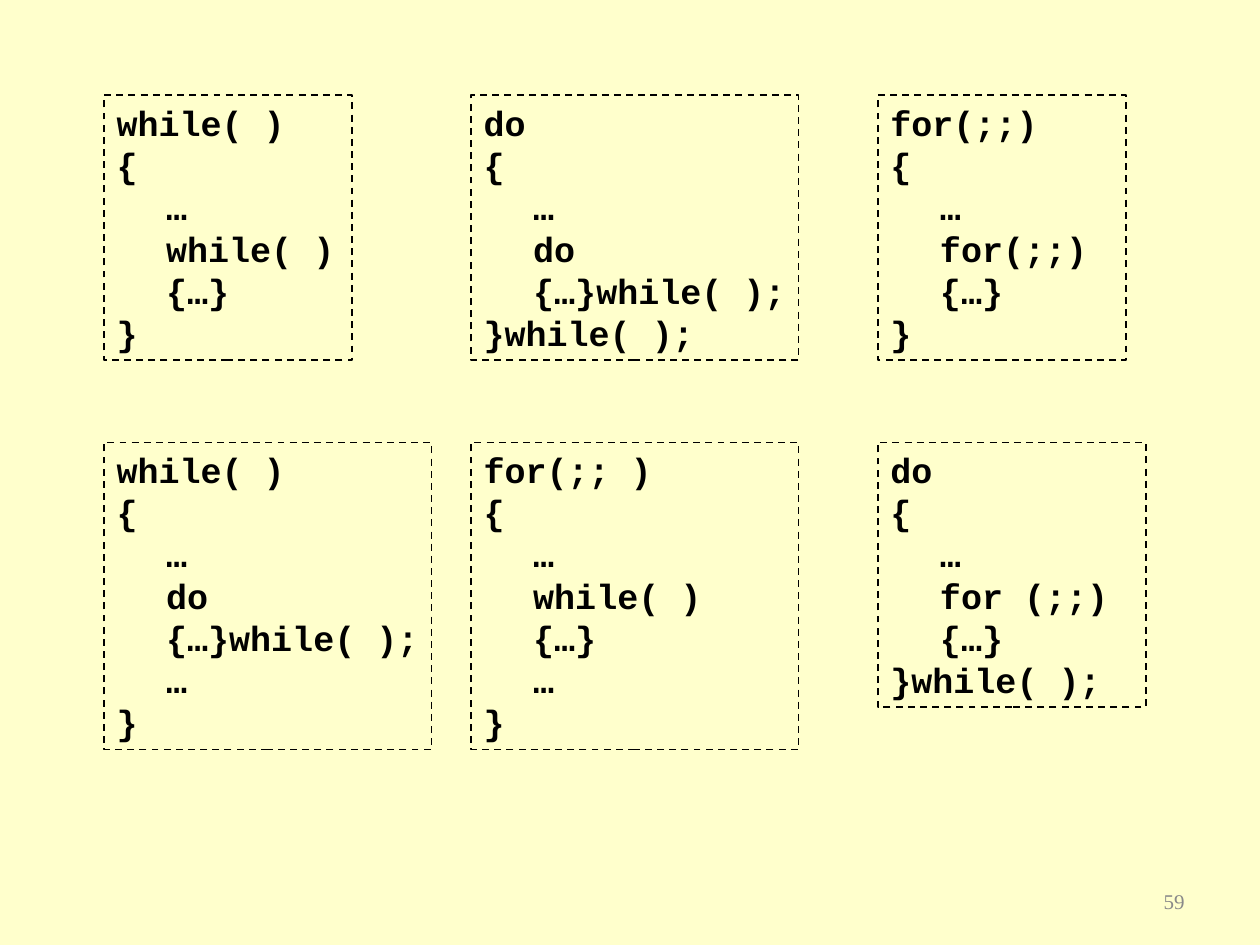
from lxml import etree
from pptx import Presentation
from pptx.dml.color import RGBColor
from pptx.enum.dml import MSO_LINE
from pptx.enum.shapes import MSO_SHAPE
from pptx.enum.text import MSO_ANCHOR, MSO_AUTO_SIZE, PP_ALIGN
from pptx.oxml.ns import qn
from pptx.util import Cm, Pt

RECT, DASH = MSO_SHAPE.RECTANGLE, MSO_LINE.DASH
LEFT, RIGHT = PP_ALIGN.LEFT, PP_ALIGN.RIGHT
TOP, MIDDLE = MSO_ANCHOR.TOP, MSO_ANCHOR.MIDDLE
GROW = MSO_AUTO_SIZE.SHAPE_TO_FIT_TEXT

# Content: rows of nested loops, each with its box width in cm
LOOPS = [
    [
        (5.0, ["while( )", "{", "\t…", "\twhile( )", "\t{…}", "}"]),
        (6.6, ["do", "{", "\t…", "\tdo", "\t{…}while( );", "}while( );"]),
        (5.0, ["for(;;)", "{", "\t…", "\tfor(;;)", "\t{…}", "}"]),
    ],
    [
        (6.6, ["while( )", "{", "\t…", "\tdo", "\t{…}while( );", "\t…", "}"]),
        (6.6, ["for(;; )", "{", "\t…", "\twhile( )", "\t{…}", "\t…", "}"]),
        (5.4, ["do", "{", "\t…", "\tfor (;;)", "\t{…}", "}while( );"]),
    ],
]
PAGE_NUMBER = "59"

THEME = {
    "background": RGBColor(0xFF, 0xFF, 0xCC),
    "ink": RGBColor(0, 0, 0),
    "muted": RGBColor(0x89, 0x89, 0x89),
    "code_font": "Courier New",
    "number_font": "Times New Roman",
    "code_size": 20,
    "number_size": 12,
}

# Layout in cm
COLUMNS = (2.1, 9.5, 17.7)
ROWS = (1.92, 8.92)
LINE_HEIGHT, PADDING = 0.85, 0.24
INDENT = 1.0


def write(sp, lines, *, font, size, color, bold=False, align=LEFT,
          anchor=TOP, tab=None):
    tf = sp.text_frame
    tf.word_wrap = True
    tf.vertical_anchor = anchor
    for i, line in enumerate(lines):
        p = tf.paragraphs[0] if i == 0 else tf.add_paragraph()
        p.alignment = align
        if tab:
            stops = etree.SubElement(p._p.get_or_add_pPr(), qn("a:tabLst"))
            etree.SubElement(stops, qn("a:tab"), pos=str(Cm(tab)), algn="l")
        r = p.add_run()
        r.text = line
        r.font.name, r.font.size, r.font.bold = font, Pt(size), bold
        r.font.color.rgb = color


def add_code_box(s, x, y, width, lines):
    height = PADDING + LINE_HEIGHT * len(lines)
    sp = s.shapes.add_shape(RECT, Cm(x), Cm(y), Cm(width), Cm(height))
    sp.shadow.inherit = False
    sp.fill.background()
    sp.line.color.rgb = THEME["ink"]
    sp.line.width = Pt(1)
    sp.line.dash_style = DASH
    write(sp, lines, font=THEME["code_font"], size=THEME["code_size"],
          color=THEME["ink"], bold=True, tab=INDENT)
    sp.text_frame.auto_size = GROW


prs = Presentation()
prs.slide_width, prs.slide_height = Cm(25.4), Cm(19.05)
s = prs.slides.add_slide(prs.slide_layouts[6])
s.background.fill.solid()
s.background.fill.fore_color.rgb = THEME["background"]

# Slide number
number = s.shapes.add_textbox(Cm(18.2), Cm(17.65), Cm(5.93), Cm(1.02))
write(number, [PAGE_NUMBER], font=THEME["number_font"],
      size=THEME["number_size"], color=THEME["muted"], align=RIGHT,
      anchor=MIDDLE)

# Grid of nested loops
for y, row in zip(ROWS, LOOPS):
    for x, (width, lines) in zip(COLUMNS, row):
        add_code_box(s, x, y, width, lines)

prs.save("out.pptx")
